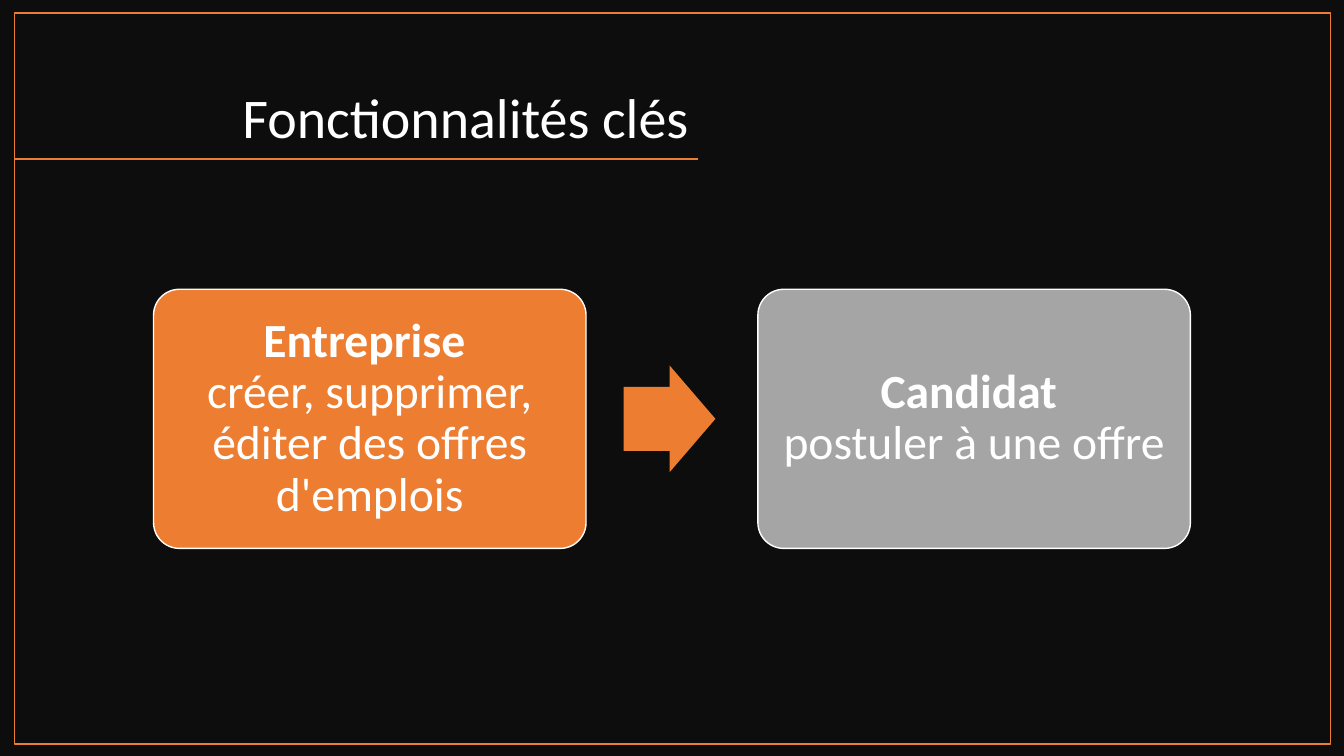
from pptx import Presentation
from pptx.dml.color import RGBColor
from pptx.enum.shapes import MSO_CONNECTOR, MSO_SHAPE
from pptx.enum.text import MSO_ANCHOR, PP_ALIGN
from pptx.oxml.ns import qn
from pptx.util import Cm, Pt

RECTANGLE, ROUNDED = MSO_SHAPE.RECTANGLE, MSO_SHAPE.ROUNDED_RECTANGLE
RIGHT_ARROW = MSO_SHAPE.RIGHT_ARROW
STRAIGHT = MSO_CONNECTOR.STRAIGHT
CENTER, RIGHT = PP_ALIGN.CENTER, PP_ALIGN.RIGHT
MIDDLE, BOTTOM = MSO_ANCHOR.MIDDLE, MSO_ANCHOR.BOTTOM

FONT = "Calibri"
COLORS = {"night": "0D0D0D", "orange": "ED7D31", "grey": "A5A5A5", "white": "FFFFFF"}

TITLE = "Fonctionnalités clés"
CARDS = [
    ("Entreprise ", "créer, supprimer, éditer des offres d'emplois", "orange"),
    ("Candidat ", "postuler à une offre ", "grey"),
]

# Lengths in centimetres
SLIDE_WIDTH, SLIDE_HEIGHT = 33.87, 19.05
FRAME_LEFT, FRAME_TOP, FRAME_WIDTH, FRAME_HEIGHT = 0.36, 0.33, 33.17, 18.42
TITLE_LEFT, TITLE_TOP, TITLE_WIDTH, TITLE_HEIGHT = 2.34, 1.07, 15.26, 2.84
RULE_TOP = 4.01
CARD_LEFT, CARD_TOP, CARD_WIDTH, CARD_HEIGHT = 3.87, 7.29, 10.9, 6.53
CARD_STEP = 15.23
CARD_INSET = 0.36
ARROW_GAP, ARROW_WIDTH, ARROW_HEIGHT = 0.95, 2.31, 2.69


def rgb(name):
    return RGBColor.from_string(COLORS[name])


def add_box(slide, kind, bounds, fill=None, line=None):
    shape = slide.shapes.add_shape(kind, *map(Cm, bounds))
    shape.shadow.inherit = False
    if fill:
        shape.fill.solid()
        shape.fill.fore_color.rgb = rgb(fill)
    else:
        shape.fill.background()
    if line:
        shape.line.color.rgb = rgb(line)
        shape.line.width = Pt(1)
    else:
        shape.line.fill.background()
    return shape


def style_paragraph(paragraph, size, alignment):
    paragraph.alignment = alignment
    paragraph.line_spacing = 0.9
    paragraph.font.name = FONT
    paragraph.font.size = Pt(size)
    paragraph.font.color.rgb = rgb("white")


def add_title(slide):
    bounds = (TITLE_LEFT, TITLE_TOP, TITLE_WIDTH, TITLE_HEIGHT)
    frame = slide.shapes.add_textbox(*map(Cm, bounds)).text_frame
    frame.word_wrap = True
    frame.vertical_anchor = BOTTOM
    frame.text = TITLE
    style_paragraph(frame.paragraphs[0], 40, RIGHT)


def add_rule(slide):
    rule = slide.shapes.add_connector(
        STRAIGHT, Cm(TITLE_LEFT + TITLE_WIDTH), Cm(RULE_TOP), Cm(FRAME_LEFT), Cm(RULE_TOP))
    rule.line.color.rgb = rgb("orange")
    rule.line.width = Pt(1)
    properties = rule._element.spPr
    properties.append(properties.makeelement(qn("a:effectLst"), {}))


def add_card(slide, left, role, actions, fill):
    card = add_box(slide, ROUNDED, (left, CARD_TOP, CARD_WIDTH, CARD_HEIGHT), fill, "white")
    card.adjustments[0] = 0.1
    frame = card.text_frame
    frame.word_wrap = True
    frame.vertical_anchor = MIDDLE
    frame.margin_left = frame.margin_right = Cm(CARD_INSET)
    frame.margin_top = frame.margin_bottom = Cm(CARD_INSET)
    paragraph = frame.paragraphs[0]
    style_paragraph(paragraph, 34, CENTER)
    heading = paragraph.add_run()
    heading.text = role
    heading.font.bold = True
    paragraph.add_line_break()
    paragraph.add_run().text = actions


def add_arrow(slide):
    left = CARD_LEFT + CARD_WIDTH + ARROW_GAP
    top = CARD_TOP + (CARD_HEIGHT - ARROW_HEIGHT) / 2
    arrow = add_box(slide, RIGHT_ARROW, (left, top, ARROW_WIDTH, ARROW_HEIGHT), "orange")
    arrow.adjustments[0] = 0.6
    arrow.adjustments[1] = 0.5


def main():
    presentation = Presentation()
    presentation.slide_width = Cm(SLIDE_WIDTH)
    presentation.slide_height = Cm(SLIDE_HEIGHT)
    slide = presentation.slides.add_slide(presentation.slide_layouts[6])
    slide.background.fill.solid()
    slide.background.fill.fore_color.rgb = rgb("night")

    add_title(slide)
    add_rule(slide)
    add_box(slide, RECTANGLE, (FRAME_LEFT, FRAME_TOP, FRAME_WIDTH, FRAME_HEIGHT), line="orange")
    for index, (role, actions, fill) in enumerate(CARDS):
        add_card(slide, CARD_LEFT + index * CARD_STEP, role, actions, fill)
    add_arrow(slide)
    presentation.save("out.pptx")


if __name__ == "__main__":
    main()
